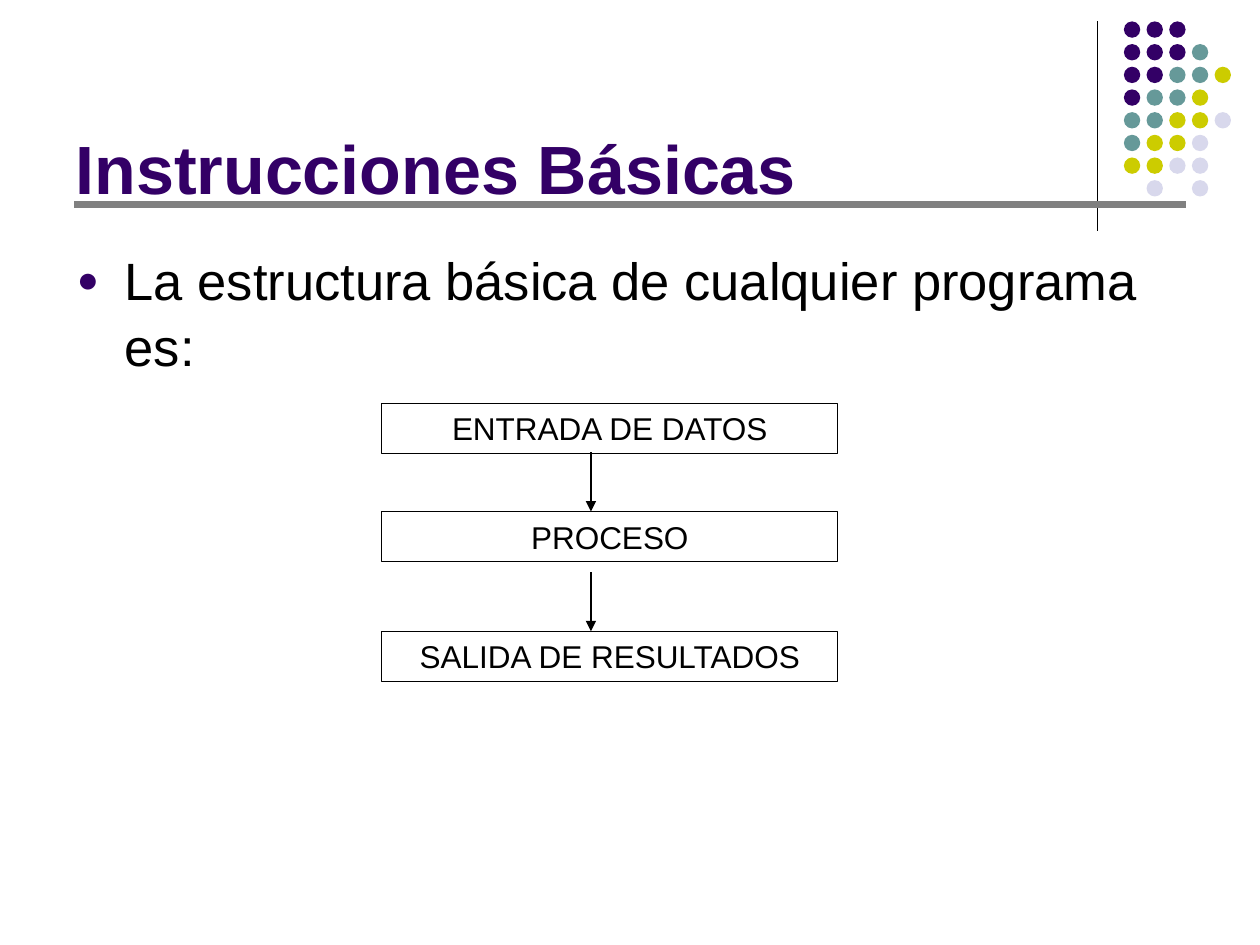
from lxml import etree
from pptx import Presentation
from pptx.dml.color import RGBColor
from pptx.enum.shapes import MSO_CONNECTOR, MSO_SHAPE
from pptx.enum.text import MSO_ANCHOR as Anchor, MSO_AUTO_SIZE as AutoSize, PP_ALIGN as Align
from pptx.oxml.ns import qn
from pptx.util import Inches, Pt

COLORS = {
    "purple": "330066",
    "teal": "669999",
    "olive": "CCCC00",
    "lavender": "D8D8EC",
    "gray": "808080",
    "black": "000000",
}
DOT_COLORS = {"P": "purple", "T": "teal", "O": "olive", "L": "lavender"}
DOT_ROWS = ["PPP", "PPPT", "PPTTO", "PTTO", "TTOOL", "TOOL", "OOLL", " L L"]
STEPS = [("ENTRADA DE DATOS", 3.2), ("PROCESO", 4.06), ("SALIDA DE RESULTADOS", 5.01)]
ARROW_LEFT, ARROW_LENGTH = 4.69, 0.47


class SlideBuilder:
    font_name = "Arial"

    def __init__(self, slide):
        self.slide = slide

    def color(self, name):
        return RGBColor.from_string(COLORS[name])

    def format_text(self, paragraph, size, color, bold=False):
        for run in paragraph.runs:
            run.font.name = self.font_name
            run.font.size = Pt(size)
            run.font.bold = bold
            run.font.color.rgb = self.color(color)

    def place(self, shape, left, top, width, height):
        shape.left, shape.top = Inches(left), Inches(top)
        shape.width, shape.height = Inches(width), Inches(height)

    def title(self, text):
        shape = self.slide.shapes.title
        self.place(shape, 0.5, 0.13, 8.25, 1.57)
        frame = shape.text_frame
        frame.text = text
        frame.auto_size = AutoSize.NONE
        frame.vertical_anchor = Anchor.BOTTOM
        paragraph = frame.paragraphs[0]
        paragraph.alignment = Align.LEFT
        self.format_text(paragraph, 39, "purple", bold=True)

    def body(self, text):
        shape = self.slide.placeholders[1]
        self.place(shape, 0.51, 1.9, 9, 4.78)
        frame = shape.text_frame
        frame.text = text
        frame.auto_size = AutoSize.NONE
        paragraph = frame.paragraphs[0]
        self.bullet(paragraph)
        paragraph.space_before = Pt(0)
        paragraph.line_spacing = 1.04
        self.format_text(paragraph, 30, "black")

    def bullet(self, paragraph):
        properties = paragraph._p.get_or_add_pPr()
        properties.set("marL", str(Inches(0.38)))
        properties.set("indent", str(Inches(-0.38)))
        color = etree.SubElement(properties, qn("a:buClr"))
        etree.SubElement(color, qn("a:srgbClr"), val=COLORS["purple"])
        etree.SubElement(properties, qn("a:buSzPct"), val="70000")
        etree.SubElement(properties, qn("a:buFont"), typeface=self.font_name)
        etree.SubElement(properties, qn("a:buChar"), char="●")

    def dot(self, left, top, color):
        size = Inches(0.13)
        shape = self.slide.shapes.add_shape(
            MSO_SHAPE.OVAL, Inches(left), Inches(top), size, size)
        shape.shadow.inherit = False
        shape.fill.solid()
        shape.fill.fore_color.rgb = self.color(color)
        shape.line.fill.background()

    def box(self, text, left, top, width, height):
        shape = self.slide.shapes.add_shape(
            MSO_SHAPE.RECTANGLE, Inches(left), Inches(top), Inches(width), Inches(height))
        shape.shadow.inherit = False
        shape.fill.background()
        shape.line.color.rgb = self.color("black")
        shape.line.width = Pt(0.75)
        frame = shape.text_frame
        frame.text = text
        frame.word_wrap = True
        frame.vertical_anchor = Anchor.MIDDLE
        paragraph = frame.paragraphs[0]
        paragraph.alignment = Align.CENTER
        self.format_text(paragraph, 18, "black")

    def line(self, start, end, color="black", width=0.75, arrow=False):
        connector = self.slide.shapes.add_connector(
            MSO_CONNECTOR.STRAIGHT, *map(Inches, start + end))
        connector.line.color.rgb = self.color(color)
        connector.line.width = Pt(width)
        if arrow:
            etree.SubElement(connector.line._get_or_add_ln(), qn("a:tailEnd"), type="triangle")
        etree.SubElement(connector._element.spPr, qn("a:effectLst"))


def main():
    presentation = Presentation()
    presentation.slide_width, presentation.slide_height = Inches(10), Inches(7.5)
    builder = SlideBuilder(presentation.slides.add_slide(presentation.slide_layouts[1]))

    builder.line((8.71, 0.17), (8.71, 1.83))
    for row, codes in enumerate(DOT_ROWS):
        for column, code in enumerate(codes):
            if code in DOT_COLORS:
                builder.dot(8.92 + column * 0.18, 0.17 + row * 0.18, DOT_COLORS[code])
    builder.line((0.59, 1.62), (9.41, 1.62), "gray", 4)

    builder.title("Instrucciones Básicas")
    builder.body("La estructura básica de cualquier programa es:")

    for text, top in STEPS:
        builder.box(text, 3.03, top, 3.62, 0.4)
    for text, top in STEPS[1:]:
        builder.line((ARROW_LEFT, top - ARROW_LENGTH), (ARROW_LEFT, top), arrow=True)

    presentation.save("out.pptx")


if __name__ == "__main__":
    main()
